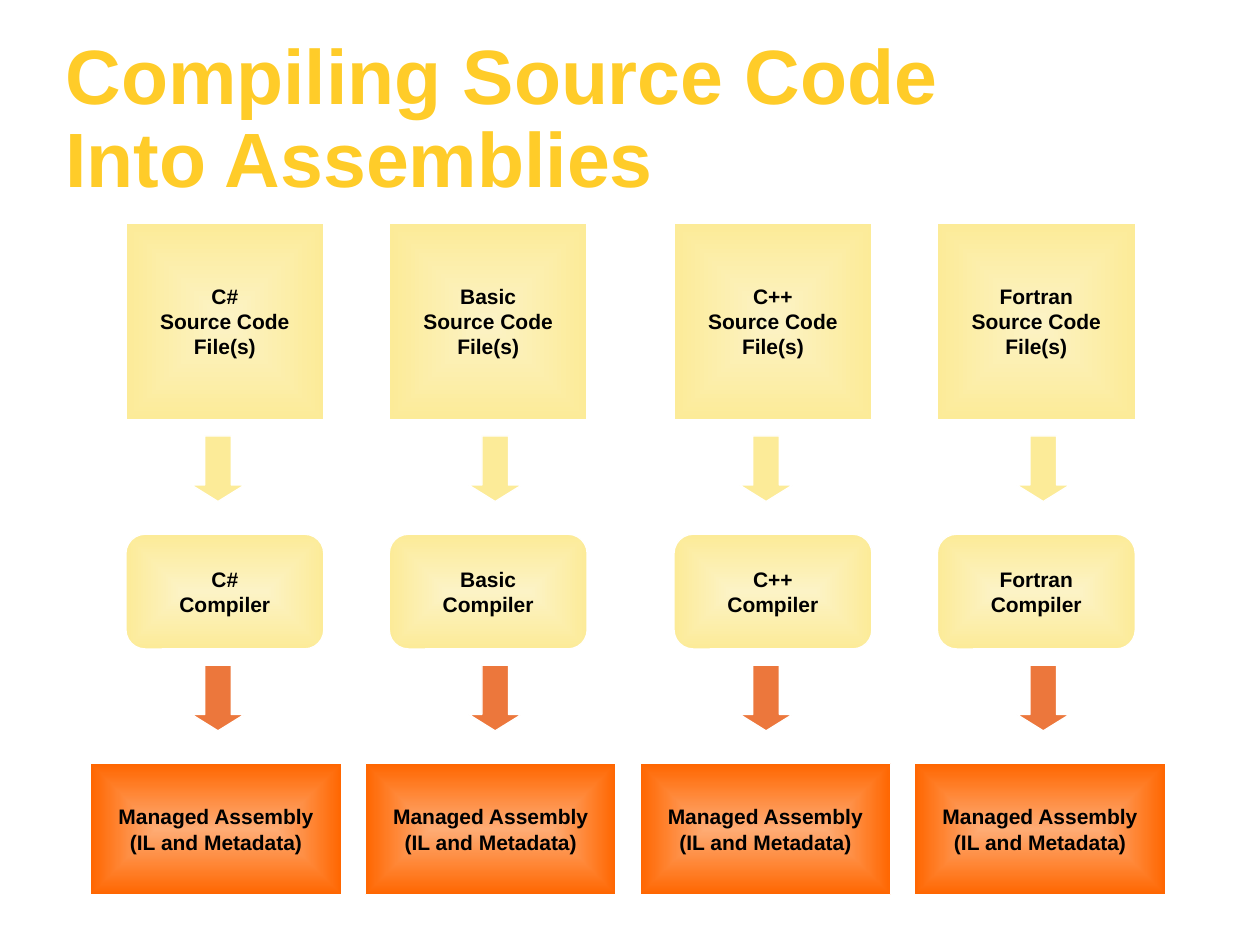
from copy import deepcopy
from lxml.etree import SubElement
from pptx import Presentation
from pptx.dml.color import RGBColor
from pptx.enum.shapes import MSO_SHAPE
from pptx.enum.text import MSO_ANCHOR, MSO_AUTO_SIZE, PP_ALIGN
from pptx.oxml.ns import qn
from pptx.util import Inches, Pt

BLACK = RGBColor(0x00, 0x00, 0x00)
WHITE = RGBColor(0xFF, 0xFF, 0xFF)
GOLD = RGBColor(0xFF, 0xCC, 0x29)
CREAM = RGBColor(0xFC, 0xF3, 0xC6)
YELLOW = RGBColor(0xFC, 0xEB, 0x98)
PEACH = RGBColor(0xFE, 0xAC, 0x75)
ORANGE = RGBColor(0xFF, 0x66, 0x00)
RUST = RGBColor(0xEC, 0x77, 0x3C)

# Language, then offsets of the source box and the arrows within the lane
LANES = [
    ("C#", 0.28, 0.80),
    ("Basic", 0.19, 0.82),
    ("C++", 0.27, 0.79),
    ("Fortran", 0.18, 0.81),
]
LEFT, TOP, STEP, WIDTH = 0.72, 1.77, 2.18, 1.99


def write(shape, text, size=12, color=BLACK, align=PP_ALIGN.CENTER,
          anchor=MSO_ANCHOR.MIDDLE, wrap=False, spacing=None, shadow=False):
    frame = shape.text_frame
    frame.word_wrap = wrap
    frame.vertical_anchor = anchor
    para = frame.paragraphs[0]
    para.text = text.replace("\n", "\v")
    para.alignment = align
    para.line_spacing = spacing
    for run in para.runs:
        font = run.font
        font.name, font.size, font.bold = "Arial", Pt(size), True
        font.color.rgb = color
        if shadow:
            cast(font)
    # Line breaks take the size of the text around them
    for line in para._p.findall(qn("a:br")):
        line.append(deepcopy(para.runs[0]._r.rPr))


def cast(font):
    """Give the text a hard black shadow."""
    effects = SubElement(font._rPr, qn("a:effectLst"))
    outer = SubElement(effects, qn("a:outerShdw"), dist="35921", dir="2700000")
    SubElement(outer, qn("a:srgbClr"), val=str(BLACK))
    font._rPr.find(qn("a:solidFill")).addnext(effects)


def glow(shape, inner, outer):
    """Fill with a gradient that spreads from the centre to the edges."""
    shape.fill.gradient()
    for stop, color in zip(shape.fill.gradient_stops, (inner, outer)):
        stop.color.rgb = color
    grad = shape._element.spPr.find(qn("a:gradFill"))
    grad.remove(grad.find(qn("a:lin")))
    ring = SubElement(grad, qn("a:path"), path="rect")
    SubElement(ring, qn("a:fillToRect"), l="50000", t="50000", r="50000", b="50000")


def draw(slide, kind, left, top, width, height):
    shape = slide.shapes.add_shape(
        kind, Inches(left), Inches(top), Inches(width), Inches(height))
    shape.shadow.inherit = False
    shape.line.color.rgb = WHITE
    shape.line.width = Pt(0.75)
    return shape


def add_box(slide, kind, text, colors, *area):
    box = draw(slide, kind, *area)
    glow(box, *colors)
    write(box, text)


def add_arrow(slide, color, left, top):
    arrow = draw(slide, MSO_SHAPE.DOWN_ARROW, left, top, 0.42, 0.52)
    arrow.adjustments[1] = 0.31
    arrow.fill.solid()
    arrow.fill.fore_color.rgb = color


def add_lane(slide, name, left, top, width, inset, shift):
    """Stack one language's steps from source to assembly."""
    pale, warm = (CREAM, YELLOW), (PEACH, ORANGE)
    add_box(slide, MSO_SHAPE.RECTANGLE, f"{name}\nSource Code\nFile(s)", pale,
            left + inset, top, 1.57, 1.56)
    add_arrow(slide, YELLOW, left + shift, top + 1.69)
    add_box(slide, MSO_SHAPE.ROUNDED_RECTANGLE, f"{name}\nCompiler", pale,
            left + inset, top + 2.47, 1.57, 0.91)
    add_arrow(slide, RUST, left + shift, top + 3.51)
    add_box(slide, MSO_SHAPE.RECTANGLE, "Managed Assembly\n(IL and Metadata)", warm,
            left, top + 4.29, width, 1.04)


def set_title(slide, left, top, width, height):
    title = slide.shapes.title
    title.left, title.top = Inches(left), Inches(top)
    title.width, title.height = Inches(width), Inches(height)
    write(title, "Compiling Source Code\nInto Assemblies", size=44, color=GOLD,
          align=PP_ALIGN.LEFT, anchor=MSO_ANCHOR.TOP, wrap=True,
          spacing=0.9, shadow=True)
    title.text_frame.auto_size = MSO_AUTO_SIZE.SHAPE_TO_FIT_TEXT


def main():
    deck = Presentation()
    deck.slide_width, deck.slide_height = Inches(10), Inches(7.5)
    slide = deck.slides.add_slide(deck.slide_layouts[5])
    set_title(slide, 0.42, 0.25, 9.18, 1.42)
    for i, (name, inset, shift) in enumerate(LANES):
        add_lane(slide, name, LEFT + i * STEP, TOP, WIDTH, inset, shift)
    deck.save("out.pptx")


if __name__ == "__main__":
    main()
